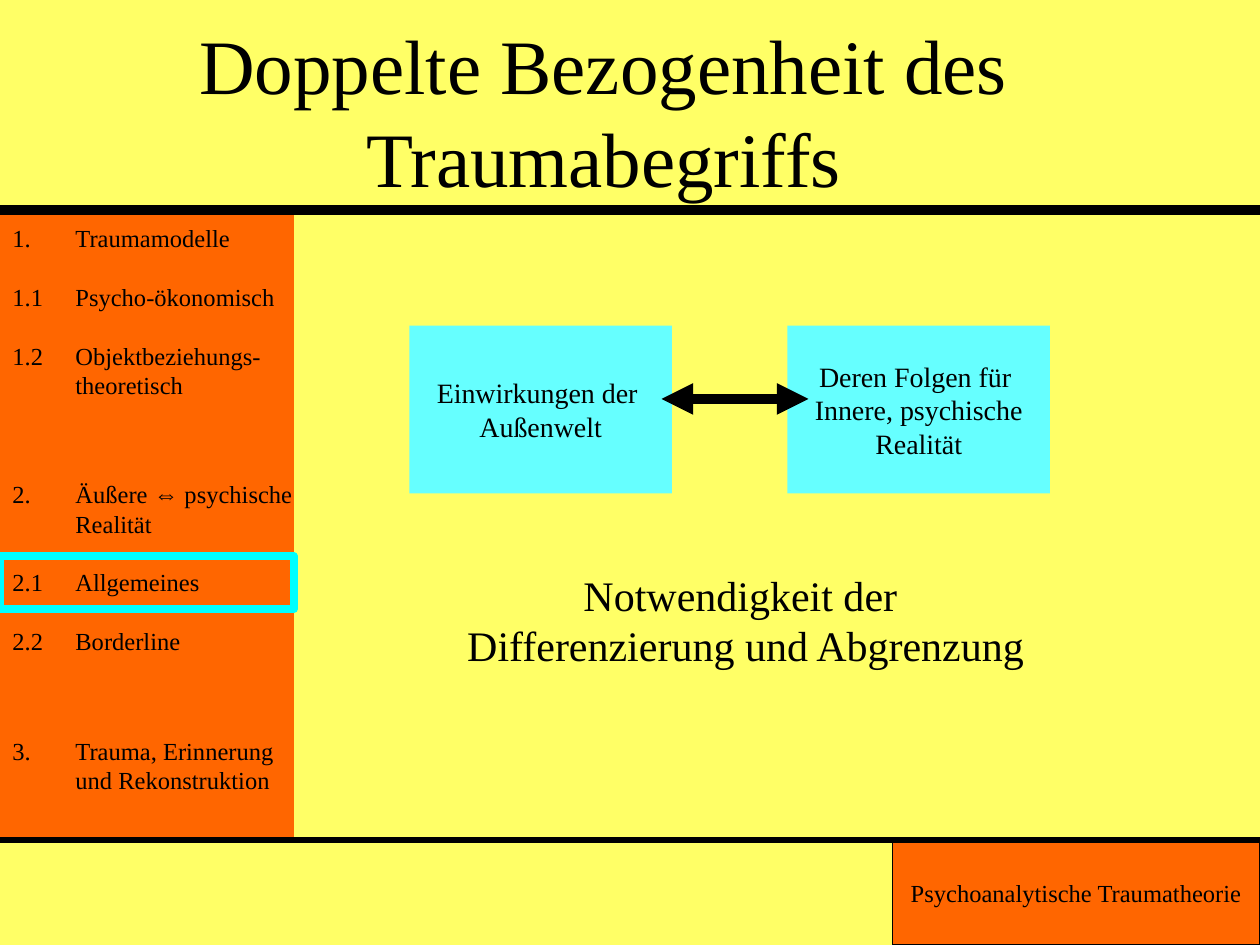
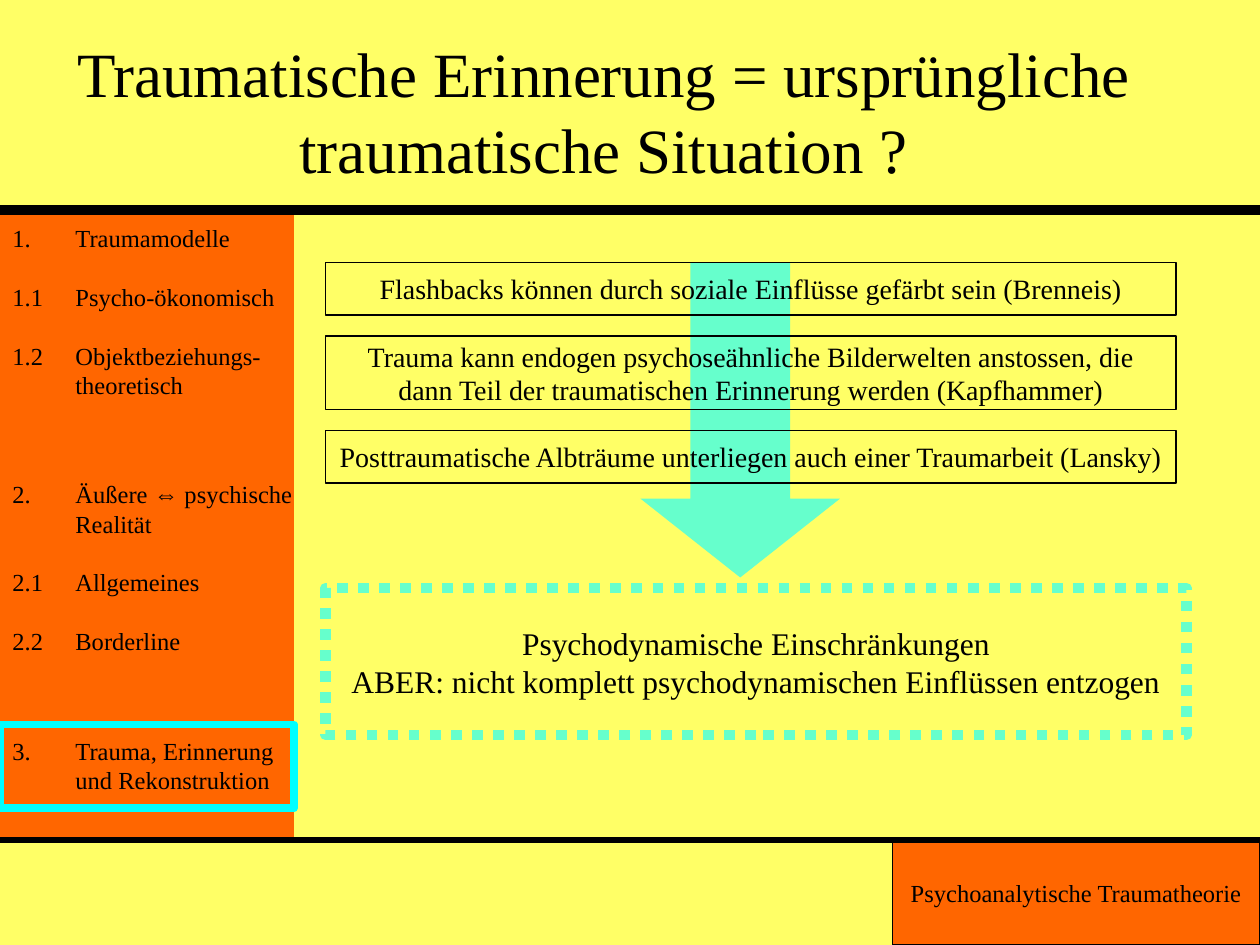
from pptx import Presentation
from pptx.dml.color import RGBColor
from pptx.enum import dml, shapes, text
from pptx.oxml import ns, xmlchemy
from pptx.util import Pt

YELLOW = RGBColor(0xFF, 0xFF, 0x66)
ORANGE = RGBColor(0xFF, 0x66, 0x00)
CYAN = RGBColor(0x00, 0xFF, 0xFF)
LIGHT_CYAN = RGBColor(0x66, 0xFF, 0xFF)
MINT = RGBColor(0x66, 0xFF, 0xCC)
BLACK = RGBColor(0x00, 0x00, 0x00)

WIDTH, HEIGHT = 720, 540
HEADER, FOOTER, SIDEBAR = 120, 480, 168
LINE_PITCH = 1.2
SERIF, SYMBOL = "Times New Roman", "Arial"
TITLE_BOX = (30, 18, 630, 90)
SIDEBAR_BOX = (0, HEADER, SIDEBAR, FOOTER - HEADER)
FOOTER_BOX = (510, FOOTER, 210, HEIGHT - FOOTER)
CONTENT_BOX = (SIDEBAR, HEADER, WIDTH - SIDEBAR, FOOTER - HEADER)

ITEM_GAP, CHAPTER_GAP = 16.8, 45.6
OUTLINE = [
    (0, "1.\tTraumamodelle"),
    (ITEM_GAP, "1.1\tPsycho-ökonomisch"),
    (ITEM_GAP, "1.2\tObjektbeziehungs-"),
    (0, "\ttheoretisch"),
    (CHAPTER_GAP, "2.\tÄußere ⇔ psychische"),
    (0, "\tRealität"),
    (ITEM_GAP, "2.1\tAllgemeines"),
    (ITEM_GAP, "2.2\tBorderline"),
    (CHAPTER_GAP, "3.\tTrauma, Erinnerung"),
    (0, "\tund Rekonstruktion"),
]


def apply_format(target, values):
    """Set every attribute named in a dict of format values."""
    for attribute, value in values.items():
        setattr(target, attribute, value)


def add_run(paragraph, words, size, font=SERIF):
    """Append one formatted run to a paragraph."""
    run = paragraph.add_run()
    run.text = words
    apply_format(run.font, {"name": font, "size": Pt(size)})
    run.font.color.rgb = BLACK


def write_lines(frame, lines, size, wrap=False):
    """Write centred lines in the middle of a text frame."""
    apply_format(frame, {"word_wrap": wrap, "vertical_anchor": text.MSO_ANCHOR.MIDDLE})
    for number, line in enumerate(lines):
        paragraph = frame.add_paragraph() if number else frame.paragraphs[0]
        apply_format(paragraph, {"alignment": text.PP_ALIGN.CENTER,
                                 "line_spacing": Pt(size * LINE_PITCH)})
        add_run(paragraph, line, size)


def add_panel(slide, box, fill=None, line=None, weight=0.75, lines=(), size=16,
              kind=shapes.MSO_SHAPE.RECTANGLE):
    """Draw a preset shape with optional fill, outline and text."""
    panel = slide.shapes.add_shape(kind, *map(Pt, box))
    panel.shadow.inherit = False
    for part, color in ((panel.fill, fill), (panel.line.fill, line)):
        if color is None:
            part.background()
        else:
            part.solid()
            part.fore_color.rgb = color
    if line is not None:
        panel.line.width = Pt(weight)
    if lines:
        write_lines(panel.text_frame, lines, size)
    return panel


def add_rule(slide, start, end, weight):
    """Draw a black straight line between two points."""
    rule = slide.shapes.add_connector(shapes.MSO_CONNECTOR.STRAIGHT, *map(Pt, start + end))
    rule.line.color.rgb = BLACK
    rule.line.width = Pt(weight)
    rule._element.spPr.append(xmlchemy.OxmlElement("a:effectLst"))
    return rule


def add_arrowheads(rule):
    """Put a triangle on both ends of a line."""
    outline = rule.line._get_or_add_ln()
    for end in ("a:headEnd", "a:tailEnd"):
        head = xmlchemy.OxmlElement(end)
        head.set("type", "triangle")
        outline.append(head)


def add_sidebar(slide, box, highlight):
    """Draw the outline column and frame the current entry."""
    left, top, width, _ = box
    column = add_panel(slide, box, ORANGE)
    frame = column.text_frame
    apply_format(frame, {"word_wrap": False, "vertical_anchor": text.MSO_ANCHOR.TOP,
                         "margin_top": Pt(7.4)})
    for number, (gap, entry) in enumerate(OUTLINE):
        paragraph = frame.add_paragraph() if number else frame.paragraphs[0]
        apply_format(paragraph, {"alignment": text.PP_ALIGN.LEFT, "space_before": Pt(gap),
                                 "line_spacing": Pt(14 * LINE_PITCH)})
        properties = paragraph._p.get_or_add_pPr()
        properties.set("marL", str(Pt(36)))
        properties.set("indent", str(Pt(-36)))
        before, arrow, after = entry.partition("⇔")
        for words, font in ((before, SERIF), (arrow, SYMBOL), (after, SERIF)):
            if words:
                add_run(paragraph, words, 14, font)
    offset, height = highlight
    return left, top + offset, width, height


def add_title(slide, box, title, size):
    """Write the slide title centred in its box."""
    heading = slide.shapes.add_textbox(*map(Pt, box))
    write_lines(heading.text_frame, [title], size, wrap=True)


def add_frame(deck, title, size, highlight):
    """Start a slide with background, outline, footer, rules and title."""
    slide = deck.slides.add_slide(deck.slide_layouts[6])
    slide.background.fill.solid()
    slide.background.fill.fore_color.rgb = YELLOW
    marker = add_sidebar(slide, SIDEBAR_BOX, highlight)
    add_panel(slide, FOOTER_BOX, ORANGE, BLACK,
              lines=["Psychoanalytische Traumatheorie"], size=14)
    for height, weight in ((FOOTER, 3), (HEADER, 6)):
        add_rule(slide, (0, height), (WIDTH, height), weight)
    add_title(slide, TITLE_BOX, title, size)
    add_panel(slide, marker, line=CYAN, weight=4.5)
    return slide


def add_relation(slide, box):
    """Set outer influences against inner consequences."""
    left, top, _, _ = box
    sides = (["Einwirkungen der ", "Außenwelt"],
             ["Deren Folgen für ", "Innere, psychische", "Realität"])
    for number, lines in enumerate(sides):
        add_panel(slide, (left + 66 + 216 * number, top + 66, 150, 96), LIGHT_CYAN, lines=lines)
    exchange = add_rule(slide, (left + 210, top + 108), (left + 294, top + 108), 6)
    add_arrowheads(exchange)
    conclusion = slide.shapes.add_textbox(*map(Pt, (left + 54, top + 204, 408, 60)))
    write_lines(conclusion.text_frame,
                ["Notwendigkeit der ", "Differenzierung und Abgrenzung"], 24)


def add_argument(slide, box):
    """Lead from three findings down to the conclusion."""
    left, top, _, _ = box
    arrow = add_panel(slide, (left + 198, top + 30, 114, 180), MINT,
                      kind=shapes.MSO_SHAPE.DOWN_ARROW)
    arrow.adjustments[0], arrow.adjustments[1] = 0.5, 0.395
    findings = (
        (30, ["Flashbacks können durch soziale Einflüsse gefärbt sein (Brenneis)"]),
        (42, ["Trauma kann endogen psychoseähnliche Bilderwelten anstossen, die",
              "dann Teil der traumatischen Erinnerung werden (Kapfhammer)"]),
        (30, ["Posttraumatische Albträume unterliegen auch einer Traumarbeit (Lansky)"]),
    )
    offset = top + 30
    for height, lines in findings:
        add_panel(slide, (left + 18, offset, 486, height), line=BLACK, lines=lines)
        offset += height + 12
    conclusion = add_panel(
        slide, (left + 18, top + 216, 492, 84), line=MINT, weight=6, size=18,
        lines=["Psychodynamische Einschränkungen",
               "ABER: nicht komplett psychodynamischen Einflüssen entzogen"])
    conclusion.line.dash_style = dml.MSO_LINE.ROUND_DOT
    conclusion.line._get_or_add_ln().find(ns.qn("a:prstDash")).set("val", "sysDot")


def main():
    """Build both slides and save the deck."""
    deck = Presentation()
    apply_format(deck, {"slide_width": Pt(WIDTH), "slide_height": Pt(HEIGHT)})
    relation = add_frame(deck, "Doppelte Bezogenheit des Traumabegriffs", 44, (198, 30))
    add_relation(relation, CONTENT_BOX)
    argument = add_frame(
        deck, "Traumatische Erinnerung = ursprüngliche traumatische Situation ?", 36, (294, 48))
    add_argument(argument, CONTENT_BOX)
    deck.save("out.pptx")


if __name__ == "__main__":
    main()
